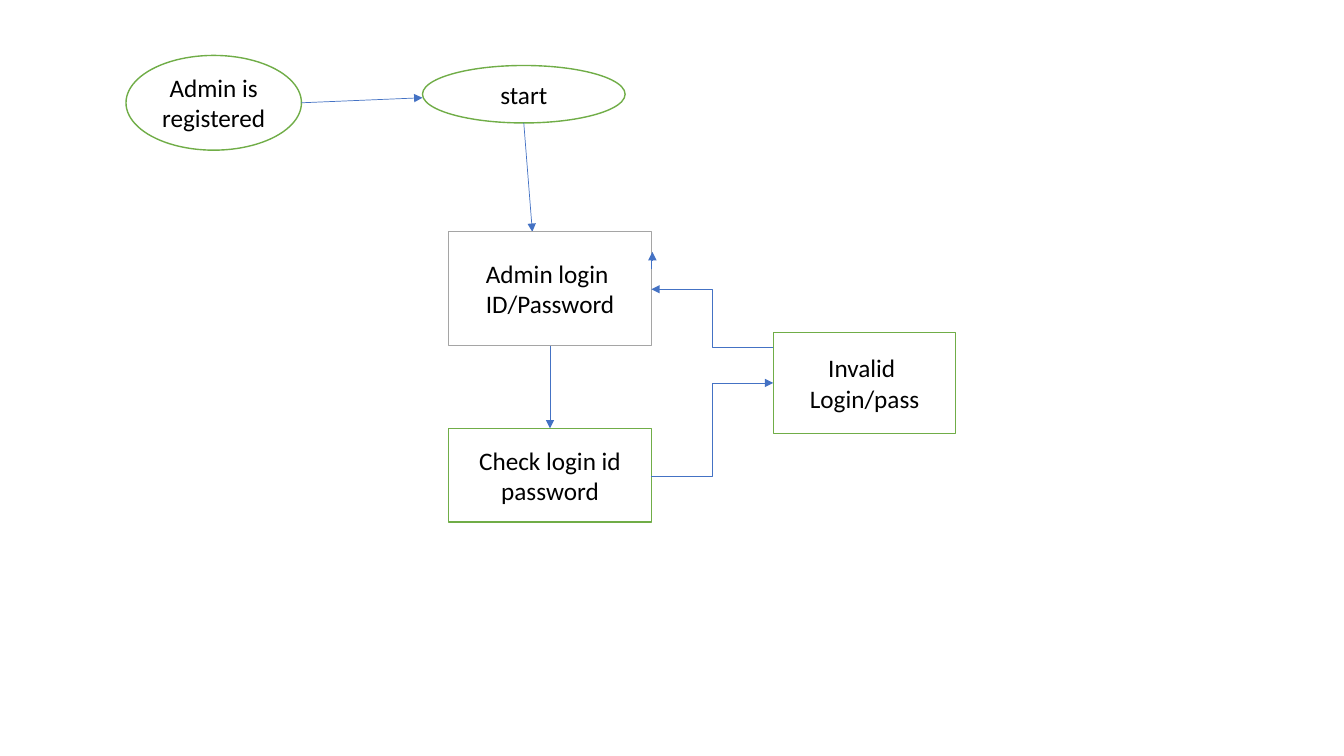
from dataclasses import dataclass
from lxml import etree
from pptx import Presentation
from pptx.dml.color import RGBColor
from pptx.enum.shapes import MSO_CONNECTOR, MSO_SHAPE
from pptx.enum.text import MSO_ANCHOR, PP_ALIGN
from pptx.oxml.ns import qn
from pptx.util import Inches, Pt

OVAL, RECT = MSO_SHAPE.OVAL, MSO_SHAPE.RECTANGLE
LINE, BENT = MSO_CONNECTOR.STRAIGHT, MSO_CONNECTOR.ELBOW
MID, CENTER = MSO_ANCHOR.MIDDLE, PP_ALIGN.CENTER


@dataclass(frozen=True)
class Theme:
    """Colours, font and sizes of the slide."""
    font: str = "Calibri"
    size: float = 18
    ink: str = "000000"
    paper: str = "FFFFFF"
    green: str = "70AD47"
    gray: str = "A5A5A5"
    blue: str = "4472C4"
    edge: float = 1
    thin: float = 0.5


THEME = Theme()


def rgb(code):
    """Turn a hex code into a colour."""
    return RGBColor.from_string(code)


def write(frame, text, size=THEME.size, color=THEME.ink, align=CENTER):
    """Fill a text frame, one paragraph for each line of text."""
    frame.word_wrap = True
    frame.vertical_anchor = MID
    for i, words in enumerate(text.split("\n")):
        para = frame.paragraphs[0] if i == 0 else frame.add_paragraph()
        para.alignment = align
        run = para.add_run()
        run.text = words
        run.font.name = THEME.font
        run.font.size = Pt(size)
        run.font.color.rgb = rgb(color)


def node(slide, kind, box, text, edge=THEME.green):
    """Draw one labelled step of the flow."""
    shape = slide.shapes.add_shape(kind, *map(Inches, box))
    shape.shadow.inherit = False
    shape.fill.solid()
    shape.fill.fore_color.rgb = rgb(THEME.paper)
    shape.line.color.rgb = rgb(edge)
    shape.line.width = Pt(THEME.edge)
    write(shape.text_frame, text)


def arrow(slide, start, end, kind=LINE, turn=0):
    """Draw an arrow from start to end, turned by some degrees."""
    link = slide.shapes.add_connector(kind, *map(Inches, (*start, *end)))
    link.line.color.rgb = rgb(THEME.blue)
    link.line.width = Pt(THEME.thin)
    props = link.element.spPr
    etree.SubElement(props.find(qn("a:ln")), qn("a:tailEnd"), type="triangle")
    etree.SubElement(props, qn("a:effectLst"))
    if turn:
        props.find(qn("a:xfrm")).set("rot", str(turn * 60000))


def entry(slide, box):
    """Draw the two ovals that open the flow."""
    x, y, w, h = box
    wide, tall = 2.01, 0.57
    left, top = x + w - wide, y + 0.1
    node(slide, OVAL, (x, y, 1.74, h), "Admin is registered")
    node(slide, OVAL, (left, top, wide, tall), "start")
    arrow(slide, (x + 1.74, y + h / 2), (left, y + 0.42))
    arrow(slide, (left + wide / 2, top + tall), (left + 1.09, y + 1.75))


def login(slide, box):
    """Draw the login steps and the loop for a failed login."""
    x, y, w, h = box
    wide, side = 2.01, 1.81
    right, far = x + wide, x + w - side
    mid, check = x + wide / 2, y + h - 0.93
    node(slide, RECT, (x, y, wide, 1.13), "Admin login \nID/Password", THEME.gray)
    node(slide, RECT, (x, check, wide, 0.93), "Check login id password")
    node(slide, RECT, (far, y + 1, side, 1), "Invalid \nLogin/pass")
    arrow(slide, (right + 0.09, y + 0.29), (right - 0.08, y + 0.28), BENT, 90)
    arrow(slide, (right, check + 0.48), (far, y + 1.5), BENT)
    arrow(slide, (far, y + 1.15), (right, y + 0.57), BENT)
    arrow(slide, (mid, y + 1.13), (mid, check))


def main():
    """Build and save the slide."""
    deck = Presentation()
    deck.slide_width, deck.slide_height = Inches(13.33), Inches(7.5)
    slide = deck.slides.add_slide(deck.slide_layouts[6])
    entry(slide, (1.25, 0.55, 4.95, 0.94))
    login(slide, (4.45, 2.3, 5.03, 2.88))
    deck.save("out.pptx")


if __name__ == "__main__":
    main()
